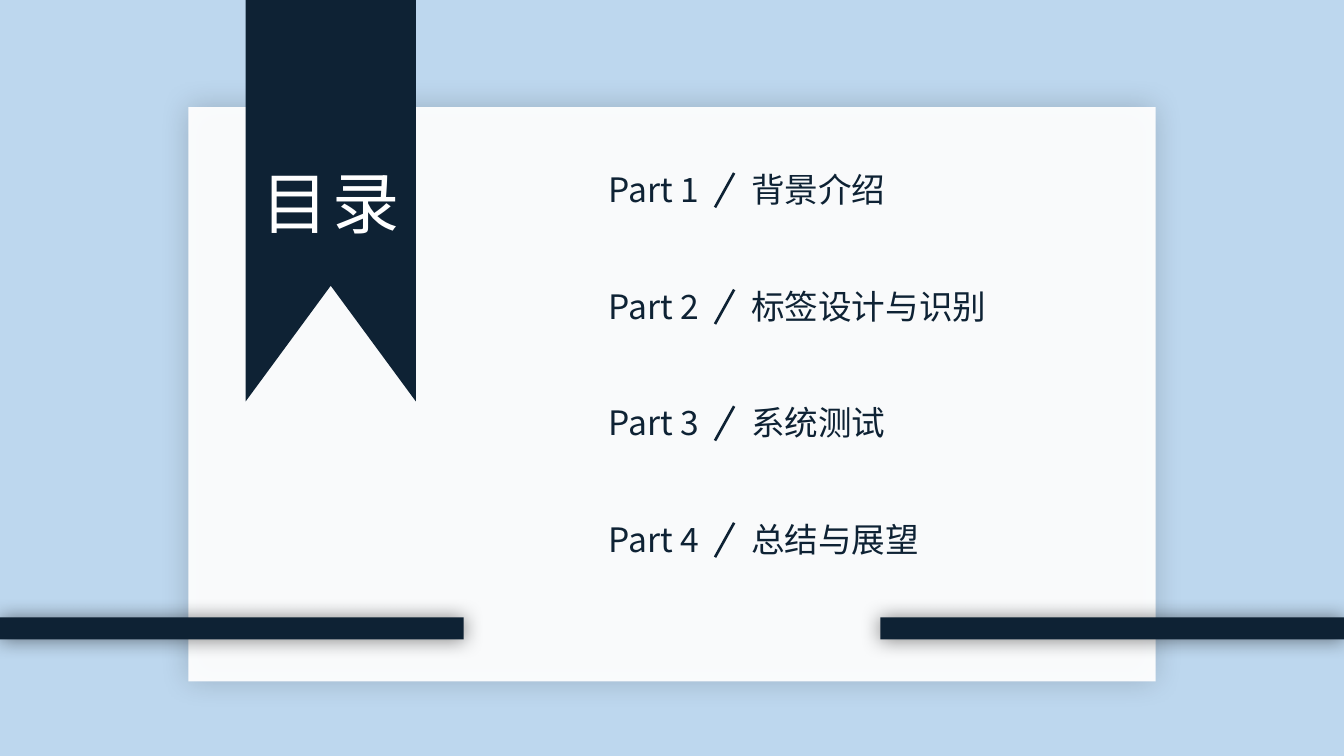
from lxml import etree
from pptx import Presentation
from pptx.dml.color import RGBColor
from pptx.enum.shapes import MSO_CONNECTOR, MSO_SHAPE
from pptx.enum.text import MSO_AUTO_SIZE, PP_ALIGN
from pptx.oxml.ns import qn
from pptx.util import Inches, Pt

RECTANGLE, STRAIGHT = MSO_SHAPE.RECTANGLE, MSO_CONNECTOR.STRAIGHT
LEFT, CENTER = PP_ALIGN.LEFT, PP_ALIGN.CENTER
FIT_SHAPE = MSO_AUTO_SIZE.SHAPE_TO_FIT_TEXT

# Content
TITLE = "目录"
PARTS = ["背景介绍", "标签设计与识别", "系统测试", "总结与展望"]

THEME = {
    "font": "Noto Sans CJK SC",
    "navy": RGBColor(0x0E, 0x22, 0x34),
    "sky": RGBColor(0xBD, 0xD7, 0xEE),
    "white": RGBColor(0xFF, 0xFF, 0xFF),
    "title_size": Pt(50.6),
    "entry_size": Pt(25.3),
    "slash_width": Pt(2),
    "card_opacity": 94,
    "card_shadow": {"opacity": 18, "blur": 22},
    "bar_shadow": {"opacity": 50, "blur": 15},
}

# Layout in inches
SLIDE_WIDTH, SLIDE_HEIGHT = 14.06, 7.91
CARD = (1.97, 1.12, 10.12, 6.01)
RIBBON_LEFT, RIBBON_RIGHT, RIBBON_BOTTOM, NOTCH_TOP = 2.57, 4.35, 4.2, 2.99
TITLE_BOX = (2.56, 1.64, 1.8, 0.95)
BAR_TOP, BAR_WIDTH, BAR_HEIGHT = 6.46, 4.85, 0.23
FIRST_ENTRY_TOP, ENTRY_STEP, ENTRY_HEIGHT = 1.72, 1.22, 0.53
LABEL_LEFT, LABEL_WIDTH = 6.27, 1.25
NAME_LEFT, NAME_WIDTH = 7.76, 3.16
SLASH_LEFT, SLASH_RIGHT, SLASH_OFFSET, SLASH_HEIGHT = 7.48, 7.68, 0.09, 0.36


def inches(values):
    return [Inches(value) for value in values]


def set_opacity(color_element, percent):
    etree.SubElement(color_element, qn("a:alpha"), val=str(percent * 1000))


def paint(shape, color):
    shape.shadow.inherit = False
    shape.fill.solid()
    shape.fill.fore_color.rgb = color
    shape.line.fill.background()


def add_panel(page, bounds, color, glow):
    panel = page.shapes.add_shape(RECTANGLE, *inches(bounds))
    paint(panel, color)
    effects = panel._element.spPr.find(qn("a:effectLst"))
    shadow = etree.SubElement(effects, qn("a:outerShdw"), algn="ctr", rotWithShape="0",
                              blurRad=str(Pt(glow["blur"])), dist="0", dir="0")
    set_opacity(etree.SubElement(shadow, qn("a:srgbClr"), val="000000"), glow["opacity"])
    return panel


def add_text(page, bounds, text, size, color, align=LEFT, spacing=None):
    box = page.shapes.add_textbox(*inches(bounds))
    for name, value in {"word_wrap": True, "auto_size": FIT_SHAPE}.items():
        setattr(box.text_frame, name, value)
    para = box.text_frame.paragraphs[0]
    para.alignment = align
    span = para.add_run()
    span.text = text
    for name, value in {"name": THEME["font"], "size": size}.items():
        setattr(span.font, name, value)
    span.font.color.rgb = color
    properties = span._r.get_or_add_rPr()
    etree.SubElement(properties, qn("a:ea"), typeface=THEME["font"])
    if spacing is not None:
        properties.set("spc", str(round(spacing * 100)))


def add_slash(page, top):
    slash = page.shapes.add_connector(
        STRAIGHT, *inches((SLASH_RIGHT, top, SLASH_LEFT, top + SLASH_HEIGHT)))
    slash.line.color.rgb = THEME["navy"]
    slash.line.width = THEME["slash_width"]
    etree.SubElement(slash._element.spPr, qn("a:effectLst"))


def add_ribbon(page):
    middle = (RIBBON_LEFT + RIBBON_RIGHT) / 2
    outline = [(RIBBON_RIGHT, 0), (RIBBON_RIGHT, RIBBON_BOTTOM),
               (middle, NOTCH_TOP), (RIBBON_LEFT, RIBBON_BOTTOM)]
    builder = page.shapes.build_freeform(Inches(RIBBON_LEFT), 0)
    builder.add_line_segments([inches(point) for point in outline], close=True)
    paint(builder.convert_to_shape(), THEME["navy"])


def main():
    deck = Presentation()
    deck.slide_width, deck.slide_height = inches((SLIDE_WIDTH, SLIDE_HEIGHT))
    page = deck.slides.add_slide(deck.slide_layouts[6])
    page.background.fill.solid()
    page.background.fill.fore_color.rgb = THEME["sky"]

    # Card and ribbon
    card = add_panel(page, CARD, THEME["white"], THEME["card_shadow"])
    card_color = card._element.spPr.find(qn("a:solidFill")).find(qn("a:srgbClr"))
    set_opacity(card_color, THEME["card_opacity"])
    add_ribbon(page)

    # Contents entries
    for index, name in enumerate(PARTS):
        top = FIRST_ENTRY_TOP + index * ENTRY_STEP
        cells = [(NAME_LEFT, NAME_WIDTH, name),
                 (LABEL_LEFT, LABEL_WIDTH, f"Part {index + 1}")]
        for left, width, text in cells:
            add_text(page, (left, top, width, ENTRY_HEIGHT), text,
                     THEME["entry_size"], THEME["navy"])
        add_slash(page, top + SLASH_OFFSET)

    # Title
    add_text(page, TITLE_BOX, TITLE, THEME["title_size"], THEME["white"],
             align=CENTER, spacing=3.2)

    # Bars at both edges
    for left in (0, SLIDE_WIDTH - BAR_WIDTH):
        add_panel(page, (left, BAR_TOP, BAR_WIDTH, BAR_HEIGHT),
                  THEME["navy"], THEME["bar_shadow"])

    deck.save("out.pptx")


if __name__ == "__main__":
    main()
